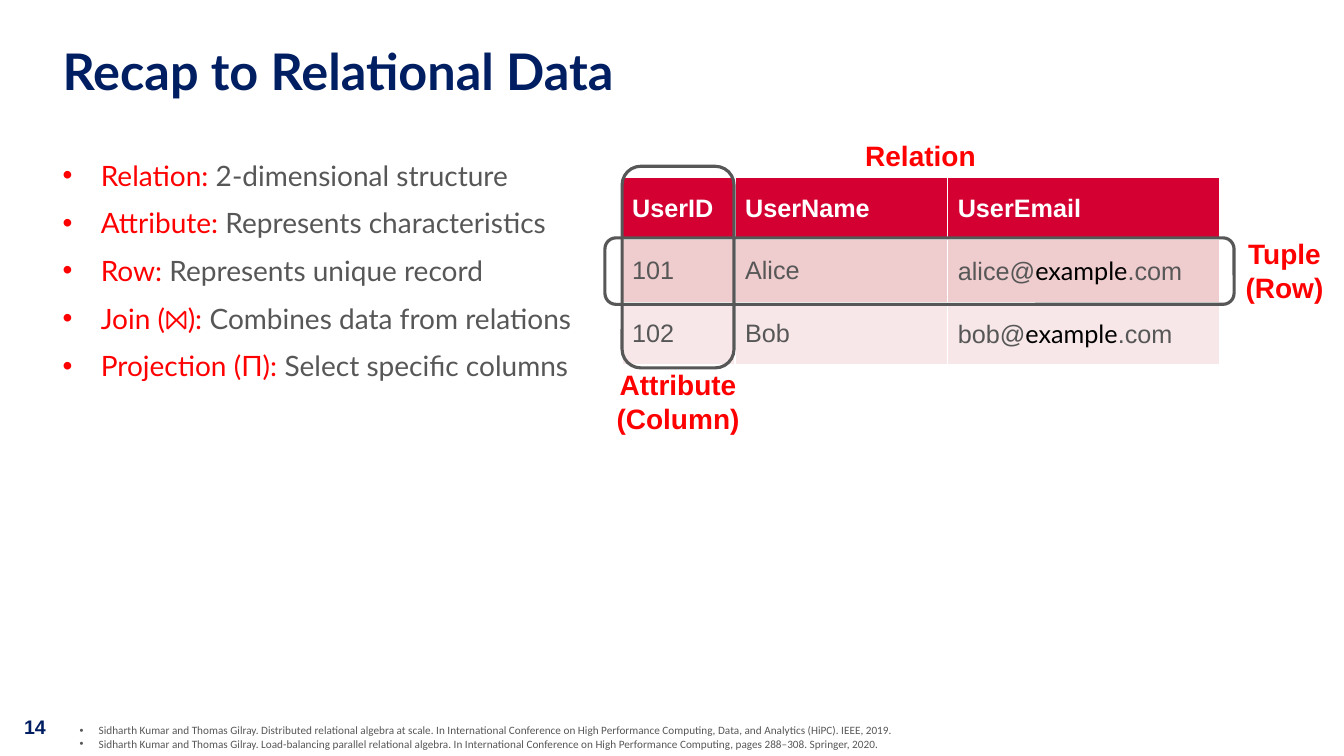
from lxml import etree
from pptx import Presentation
from pptx.dml.color import RGBColor
from pptx.enum.shapes import MSO_SHAPE
from pptx.enum.text import MSO_ANCHOR, PP_ALIGN
from pptx.oxml.ns import qn
from pptx.util import Inches, Pt

LEFT, MID = PP_ALIGN.LEFT, PP_ALIGN.CENTER
CENTRE = MSO_ANCHOR.MIDDLE
ROUND = MSO_SHAPE.ROUNDED_RECTANGLE

NAVY = RGBColor(0x00, 0x1E, 0x62)
RED = RGBColor(0xFF, 0x00, 0x00)
GREY = RGBColor(0x57, 0x57, 0x57)
BLACK = RGBColor(0x00, 0x00, 0x00)
WHITE = RGBColor(0xFF, 0xFF, 0xFF)
CRIMSON = RGBColor(0xD4, 0x00, 0x32)
ROSE = RGBColor(0xEF, 0xCC, 0xCE)
BLUSH = RGBColor(0xF7, 0xE7, 0xE8)

# The slide is a grid of 1333 columns by 750 rows
COLS, ROWS = 1333, 750
deck = Presentation()
deck.slide_width, deck.slide_height = Inches(13.33), Inches(7.5)
UNIT = deck.slide_width // COLS
slide = deck.slides.add_slide(deck.slide_layouts[6])
shapes = slide.shapes


def style(run, size, face, color, bold=False):
    font = run.font
    font.size, font.name, font.bold = Pt(size), face, bold
    font.color.rgb = color


def write(place, lines, size, face, bold=False, align=LEFT, pad=True, hang=0, gap=0):
    """Add a text box; each line is a list of (text, colour) pieces."""
    frame = shapes.add_textbox(*[n * UNIT for n in place]).text_frame
    frame.word_wrap = True
    if not pad:
        frame.margin_left = frame.margin_right = 0
        frame.margin_top = frame.margin_bottom = 0
    for i, line in enumerate(lines):
        para = frame.add_paragraph() if i else frame.paragraphs[0]
        para.alignment = align
        if i and gap:
            para.space_before = Pt(gap)
        if hang:
            props = para._p.get_or_add_pPr()
            props.set("marL", str(hang * UNIT))
            props.set("indent", str(-hang * UNIT))
            etree.SubElement(props, qn("a:buFont")).set("typeface", "Arial")
            etree.SubElement(props, qn("a:buChar")).set("char", "•")
        for text, color in line:
            run = para.add_run()
            run.text = text
            style(run, size, face, color, bold)
    return frame


# Slide number and title
write((14, 704, 66, 34), [[("14", NAVY)]], 14, "Arial", bold=True)
title = write((62, 47, 1208, 89), [[("Recap to Relational Data", NAVY)]],
              36, "Lato", bold=True, pad=False)
title.paragraphs[0].line_spacing = 0.9

# Definitions
terms = [
    ("Relation:", " 2-dimensional structure"),
    ("Attribute:", " Represents characteristics"),
    ("Row:", " Represents unique record"),
    ("Join (⨝):", " Combines data from relations"),
    ("Projection (Π):", " Select specific columns"),
]
write((62, 157, 512, 491), [[(term, RED), (sense, GREY)] for term, sense in terms],
      20, "Lato", pad=False, hang=38, gap=10)

# References
papers = [
    "Sidharth Kumar and Thomas Gilray. Distributed relational algebra at scale. "
    "In International Conference on High Performance Computing, Data, and Analytics "
    "(HiPC). IEEE, 2019.",
    "Sidharth Kumar and Thomas Gilray. Load-balancing parallel relational algebra. "
    "In International Conference on High Performance Computing, pages 288–308. "
    "Springer, 2020.",
]
write((69, 713, 1185, 37), [[(paper, GREY)] for paper in papers],
      8, "Calibri", hang=19)

# User table
users = [
    ["UserID", "UserName", "UserEmail"],
    ["101", "Alice", "alice@example.com"],
    ["102", "Bob", "bob@example.com"],
]
fills = [CRIMSON, ROSE, BLUSH]
widths = [112, 211, 270]
high = 62
left, top = 617, 176
table = shapes.add_table(len(users), len(widths), left * UNIT, top * UNIT,
                         sum(widths) * UNIT, high * len(users) * UNIT).table
for col, wide in zip(table.columns, widths):
    col.width = wide * UNIT
for r, user in enumerate(users):
    table.rows[r].height = high * UNIT
    for c, value in enumerate(user):
        cell = table.cell(r, c)
        cell.vertical_anchor = CENTRE
        cell.fill.solid()
        cell.fill.fore_color.rgb = fills[r]
        para = cell.text_frame.paragraphs[0]
        name, host, rest = value.partition("example")
        for text in filter(None, (name, host, rest)):
            run = para.add_run()
            run.text = text
            if text == host:
                style(run, 18, "Lato", BLACK)
            else:
                style(run, 18, "Arial", GREY if r else WHITE, bold=r == 0)

# Frames around one column and one row
for place in [(617, 165, 111, 200), (600, 236, 624, 66)]:
    ring = shapes.add_shape(ROUND, *[n * UNIT for n in place])
    ring.shadow.inherit = False
    ring.fill.background()
    ring.line.color.rgb = GREY
    ring.line.width = Pt(2.25)

# Labels of the table parts
labels = [
    ((618, 133, 590, 44), ["Relation"]),
    ((555, 360, 235, 77), ["Attribute", "(Column)"]),
    ((1223, 230, 102, 77), ["Tuple", "(Row)"]),
]
for place, words in labels:
    write(place, [[(word, RED)] for word in words], 20, "Arial", bold=True, align=MID)

deck.save("out.pptx")
